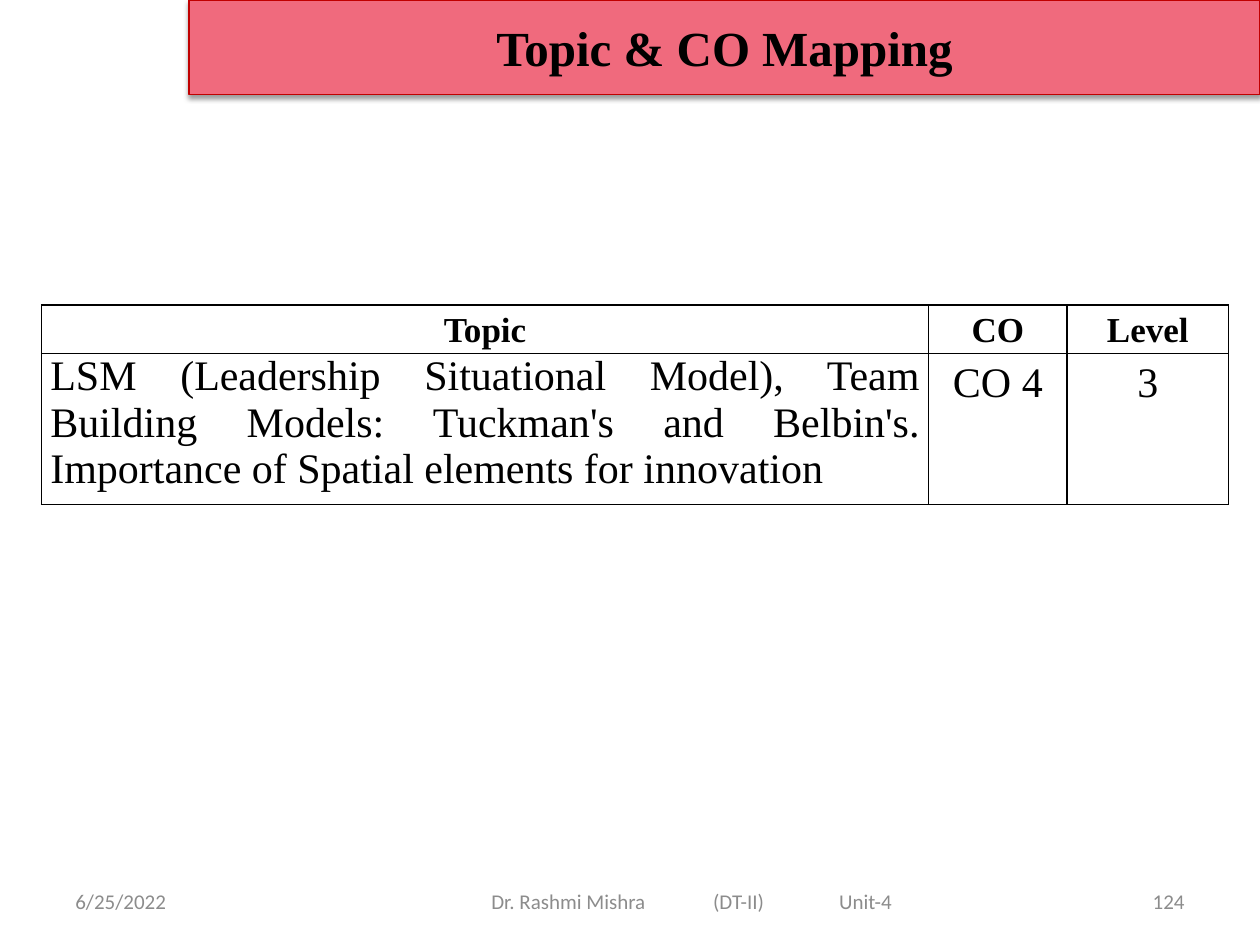
from lxml.etree import SubElement
from pptx import Presentation
from pptx.dml.color import RGBColor
from pptx.enum.shapes import MSO_SHAPE
from pptx.enum.text import MSO_ANCHOR, PP_ALIGN
from pptx.oxml import parse_xml
from pptx.oxml.ns import nsdecls, qn
from pptx.util import Inches, Pt

BLACK = RGBColor(0, 0, 0)
GREY = RGBColor(0x8C, 0x8C, 0x8C)
PINK = RGBColor(0xF0, 0x6A, 0x7D)
RED = RGBColor(0xC0, 0, 0)

SERIF = "Times New Roman"
NOTE = {"name": "Calibri", "size": Pt(12), "color": GREY}
TITLE = {"name": SERIF, "size": Pt(28), "bold": True, "color": BLACK}
HEAD = {"name": SERIF, "size": Pt(20), "bold": True, "color": BLACK}
BODY = {"name": SERIF, "size": Pt(24), "bold": False, "color": BLACK}


class Deck:
    """Holds the style and the current slide."""

    def __init__(self, width, height):
        self.prs = Presentation()
        self.prs.slide_width = Inches(width)
        self.prs.slide_height = Inches(height)
        self.slide = self.prs.slides.add_slide(self.prs.slide_layouts[6])

    def put_text(self, frame, text, style, align, space=None, tabs=()):
        para = frame.paragraphs[0]
        para.alignment = align
        if space:
            para.line_spacing = space
        if tabs:
            stops = SubElement(para._p.get_or_add_pPr(), qn("a:tabLst"))
            for stop in tabs:
                SubElement(stops, qn("a:tab"), pos=str(Inches(stop)), algn="l")
        run = para.add_run()
        run.text = text
        for key, value in style.items():
            if key == "color":
                run.font.color.rgb = value
            else:
                setattr(run.font, key, value)

    def label(self, box, text, align, inset=0.1, tabs=()):
        frame = self.slide.shapes.add_textbox(*map(Inches, box)).text_frame
        frame.word_wrap = True
        frame.vertical_anchor = MSO_ANCHOR.MIDDLE
        frame.margin_left = Inches(inset)
        self.put_text(frame, text, NOTE, align, tabs=tabs)

    def banner(self, box, text):
        shape = self.slide.shapes.add_shape(MSO_SHAPE.RECTANGLE, *map(Inches, box))
        shape.fill.solid()
        shape.fill.fore_color.rgb = PINK
        shape.line.color.rgb = RED
        shape.line.width = Pt(0.75)
        # Soft shadow straight below
        shape.shadow.inherit = False
        cast = SubElement(
            shape._element.spPr.find(qn("a:effectLst")), qn("a:outerShdw"),
            blurRad=str(Pt(3.1)), dist=str(Pt(1.6)), dir="5400000", rotWithShape="0")
        tint = SubElement(cast, qn("a:srgbClr"), val=str(BLACK))
        SubElement(tint, qn("a:alpha"), val="38000")
        shape.text_frame.vertical_anchor = MSO_ANCHOR.MIDDLE
        self.put_text(shape.text_frame, text, TITLE, PP_ALIGN.CENTER)

    def border(self, cell):
        for side in "LRTB":
            cell._tc.get_or_add_tcPr().append(parse_xml(
                f'<a:ln{side} {nsdecls("a")} w="{Pt(1)}"><a:solidFill>'
                f'<a:srgbClr val="{BLACK}"/></a:solidFill></a:ln{side}>'))

    def table(self, left, top, widths, heights, rows):
        box = (left, top, sum(widths), sum(heights))
        grid = self.slide.shapes.add_table(
            len(rows), len(widths), *map(Inches, box)).table
        grid.first_row = grid.horz_banding = False
        for col, width in zip(grid.columns, widths):
            col.width = Inches(width)
        for row, height, texts in zip(grid.rows, heights, rows):
            row.height = Inches(height)
            head = texts is rows[0]
            for i, (cell, text) in enumerate(zip(row.cells, texts)):
                cell.margin_left = cell.margin_right = Inches(0.07)
                cell.margin_top = cell.margin_bottom = 0
                self.border(cell)
                cell.fill.background()
                prose = i == 0 and not head
                self.put_text(cell.text_frame, text, HEAD if head else BODY,
                              PP_ALIGN.JUSTIFY if prose else PP_ALIGN.CENTER,
                              None if prose else 1.15)


def main():
    deck = Deck(10, 7.5)

    # Footer
    deck.label((0.5, 6.95, 2.33, 0.4), "6/25/2022", PP_ALIGN.LEFT)
    deck.label((2.75, 6.95, 5.5, 0.4), "Dr. Rashmi Mishra\t(DT-II)\tUnit-4",
               PP_ALIGN.LEFT, inset=1.15, tabs=(1.76, 2.76))
    deck.label((7.17, 6.95, 2.33, 0.4), "124", PP_ALIGN.RIGHT)

    # Title
    deck.banner((1.5, 0, 8.5, 0.75), "Topic & CO Mapping")

    # Topic table
    deck.table(0.33, 2.42, (7.04, 1.1, 1.28), (0.35, 1.11), [
        ("Topic", "CO", "Level"),
        ("LSM (Leadership Situational Model), Team Building Models: "
         "Tuckman's and Belbin's. Importance of Spatial elements for innovation",
         "CO 4", "3"),
    ])

    deck.prs.save("out.pptx")


if __name__ == "__main__":
    main()
